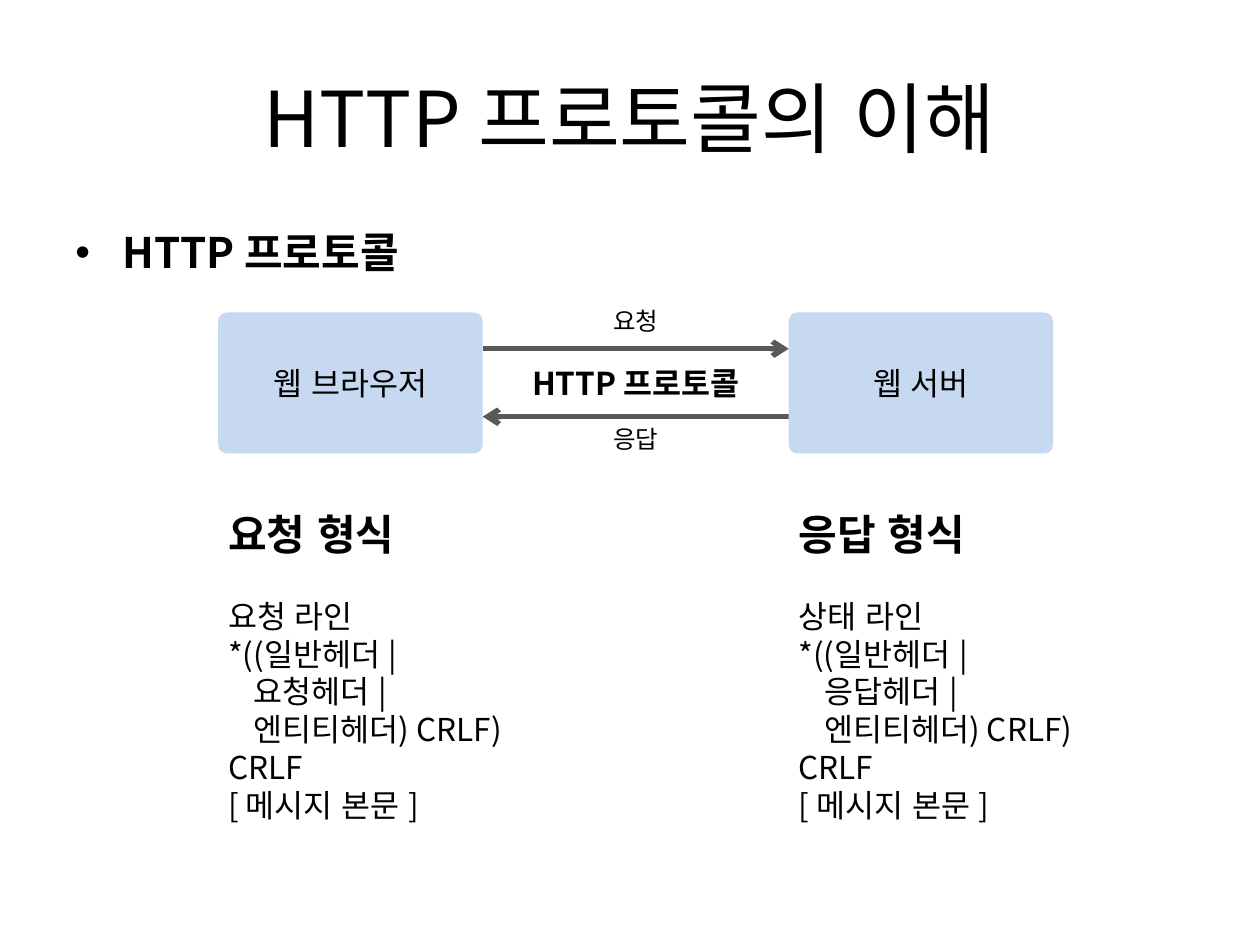
from dataclasses import dataclass

from lxml import etree
from pptx import Presentation
from pptx.dml.color import RGBColor
from pptx.enum import lang, shapes, text
from pptx.oxml import ns
from pptx.util import Cm, Pt


@dataclass(frozen=True)
class Theme:
    font: str = "Noto Sans CJK KR"
    ink: RGBColor = RGBColor(0x00, 0x00, 0x00)
    box: RGBColor = RGBColor(0xC6, 0xD9, 0xF1)
    arrow: RGBColor = RGBColor(0x59, 0x59, 0x59)
    title: int = 44
    heading: int = 24
    body: int = 18
    label: int = 14


@dataclass(frozen=True)
class Area:
    """A rectangle in centimetres."""
    x: float
    y: float
    w: float
    h: float

    @property
    def right(self) -> float:
        return self.x + self.w

    def lengths(self) -> tuple:
        return Cm(self.x), Cm(self.y), Cm(self.w), Cm(self.h)


@dataclass(frozen=True)
class Label:
    words: str
    area: Area
    size: int
    bold: bool = False


@dataclass(frozen=True)
class Format:
    """Heading and grammar of one message kind; lines may be indented."""
    heading: str
    lines: tuple
    area: Area


THEME = Theme()
INDENT = 0.52
BROWSER = Area(4.4, 6.3, 5.33, 2.84)
SERVER = Area(15.9, 6.3, 5.33, 2.84)
GAP = SERVER.x - BROWSER.right
MIDDLE = BROWSER.right + GAP / 2
REQUEST_Y, RESPONSE_Y = 7.03, 8.4

NODES = (
    Label("웹 브라우저", BROWSER, THEME.body),
    Label("웹 서버", SERVER, THEME.body),
)
LABELS = (
    Label("요청", Area(MIDDLE - 0.8, 6.04, 1.6, 0.86), THEME.label),
    Label("응답", Area(MIDDLE - 0.8, 8.43, 1.6, 0.86), THEME.label),
    Label("HTTP 프로토콜", Area(BROWSER.right, 7.21, GAP, 1.02), THEME.body, True),
)


def message_format(kind: str, first_line: str, x: float, w: float) -> Format:
    lines = (
        (first_line, 0), ("*((일반헤더 |", 0), (f"{kind}헤더 |", INDENT),
        ("엔티티헤더) CRLF)", INDENT), ("CRLF", 0), ("[ 메시지 본문 ]", 0),
    )
    return Format(f"{kind} 형식", lines, Area(x, 10.13, w, 6.68))


FORMATS = (
    message_format("요청", "요청 라인", BROWSER.x, 7.54),
    message_format("응답", "상태 라인", SERVER.x, 7.04),
)


def add_run(p, words: str, size: int, bold: bool = False) -> None:
    r = p.add_run()
    r.text = words
    r.font.name = THEME.font
    r.font.size = Pt(size)
    r.font.bold = bold
    r.font.color.rgb = THEME.ink
    r.font.language_id = lang.MSO_LANGUAGE_ID.KOREAN
    latin = r.font._element.find(ns.qn("a:latin"))
    latin.addnext(latin.makeelement(ns.qn("a:ea"), {"typeface": THEME.font}))


def add_text_box(slide, area: Area):
    tf = slide.shapes.add_textbox(*area.lengths()).text_frame
    tf.word_wrap = True
    return tf


def add_label(slide, label: Label):
    tf = add_text_box(slide, label.area)
    p = tf.paragraphs[0]
    p.alignment = text.PP_ALIGN.CENTER
    add_run(p, label.words, label.size, label.bold)
    return tf


def add_bullet(slide, words: str, area: Area) -> None:
    p = add_text_box(slide, area).paragraphs[0]
    pPr = p._p.get_or_add_pPr()
    pPr.set("marL", str(Cm(0.95)))
    pPr.set("indent", str(-Cm(0.95)))
    etree.SubElement(pPr, ns.qn("a:buFont"), typeface="Arial")
    etree.SubElement(pPr, ns.qn("a:buChar"), char="•")
    add_run(p, words, THEME.heading, True)


def add_node(slide, node: Label) -> None:
    sp = slide.shapes.add_shape(
        shapes.MSO_SHAPE.ROUNDED_RECTANGLE, *node.area.lengths())
    sp.adjustments[0] = 0.06
    sp.shadow.inherit = False
    sp.fill.solid()
    sp.fill.fore_color.rgb = THEME.box
    sp.line.fill.background()
    tf = sp.text_frame
    tf.vertical_anchor = text.MSO_ANCHOR.MIDDLE
    p = tf.paragraphs[0]
    p.alignment = text.PP_ALIGN.CENTER
    add_run(p, node.words, node.size, node.bold)


def add_arrow(slide, start: float, end: float, y: float) -> None:
    """Draw a horizontal arrow pointing at end."""
    line = slide.shapes.add_connector(
        shapes.MSO_CONNECTOR.STRAIGHT, Cm(start), Cm(y), Cm(end), Cm(y))
    line.line.color.rgb = THEME.arrow
    line.line.width = Pt(3)
    etree.SubElement(line.line._get_or_add_ln(), ns.qn("a:tailEnd"), type="arrow")
    etree.SubElement(line._element.spPr, ns.qn("a:effectLst"))


def add_format(slide, fmt: Format) -> None:
    tf = add_text_box(slide, fmt.area)
    tf.margin_left = tf.margin_right = Cm(0.2)
    p = tf.paragraphs[0]
    p.space_after = Pt(21.6)
    add_run(p, fmt.heading, THEME.heading, True)
    for words, indent in fmt.lines:
        p = tf.add_paragraph()
        p._p.get_or_add_pPr().set("marL", str(Cm(indent)))
        add_run(p, words, THEME.body)


def main() -> None:
    prs = Presentation()
    prs.slide_width, prs.slide_height = Cm(25.4), Cm(19.05)
    slide = prs.slides.add_slide(prs.slide_layouts[6])

    title = Label("HTTP 프로토콜의 이해", Area(1.27, 0.76, 22.86, 3.18), THEME.title)
    add_label(slide, title).vertical_anchor = text.MSO_ANCHOR.MIDDLE
    add_bullet(slide, "HTTP 프로토콜", Area(1.27, 4.45, 22.86, 4.55))

    add_arrow(slide, BROWSER.right, SERVER.x, REQUEST_Y)
    add_arrow(slide, SERVER.x, BROWSER.right, RESPONSE_Y)
    for label in LABELS:
        add_label(slide, label)
    for node in NODES:
        add_node(slide, node)
    for fmt in FORMATS:
        add_format(slide, fmt)

    prs.save("out.pptx")


if __name__ == "__main__":
    main()
